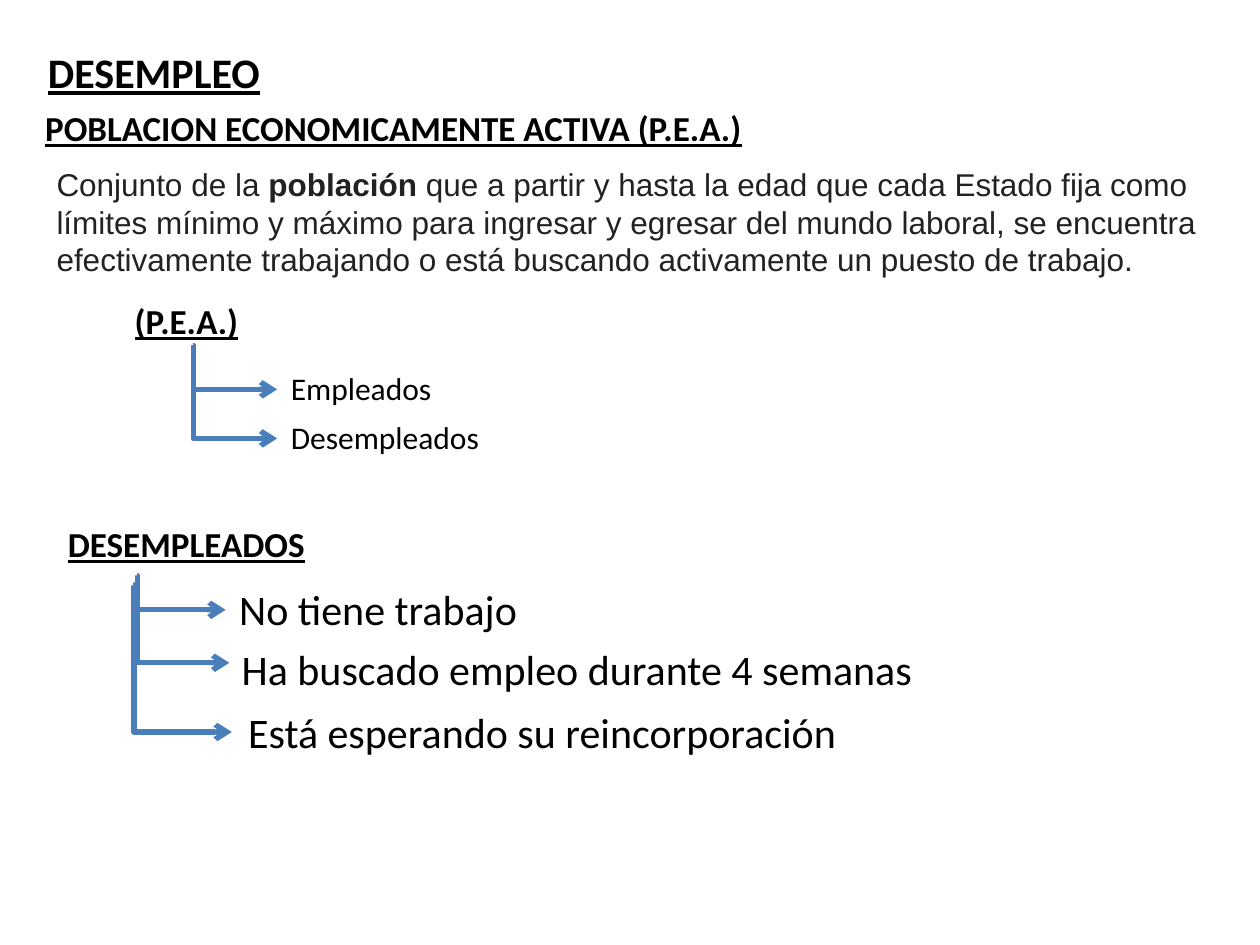
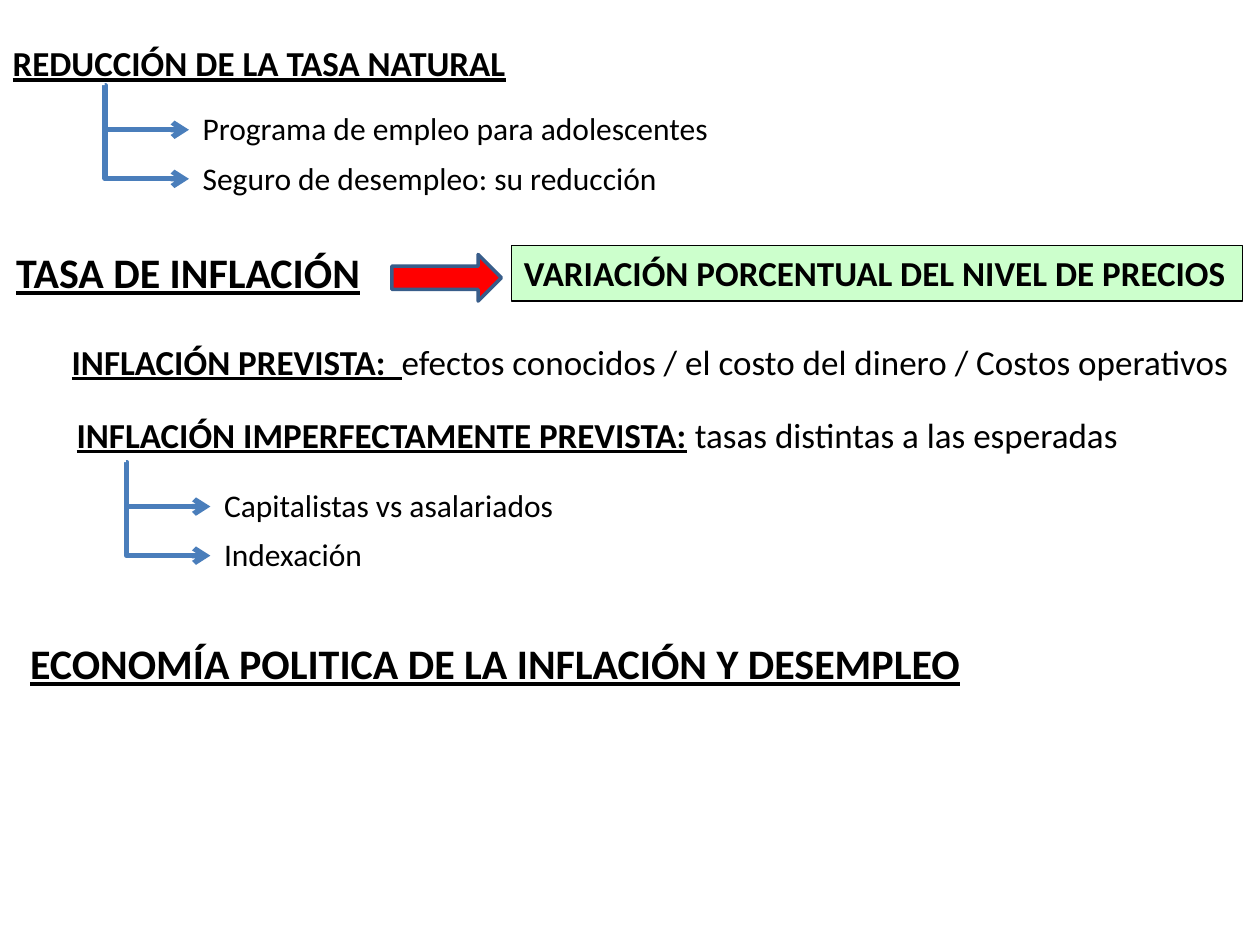
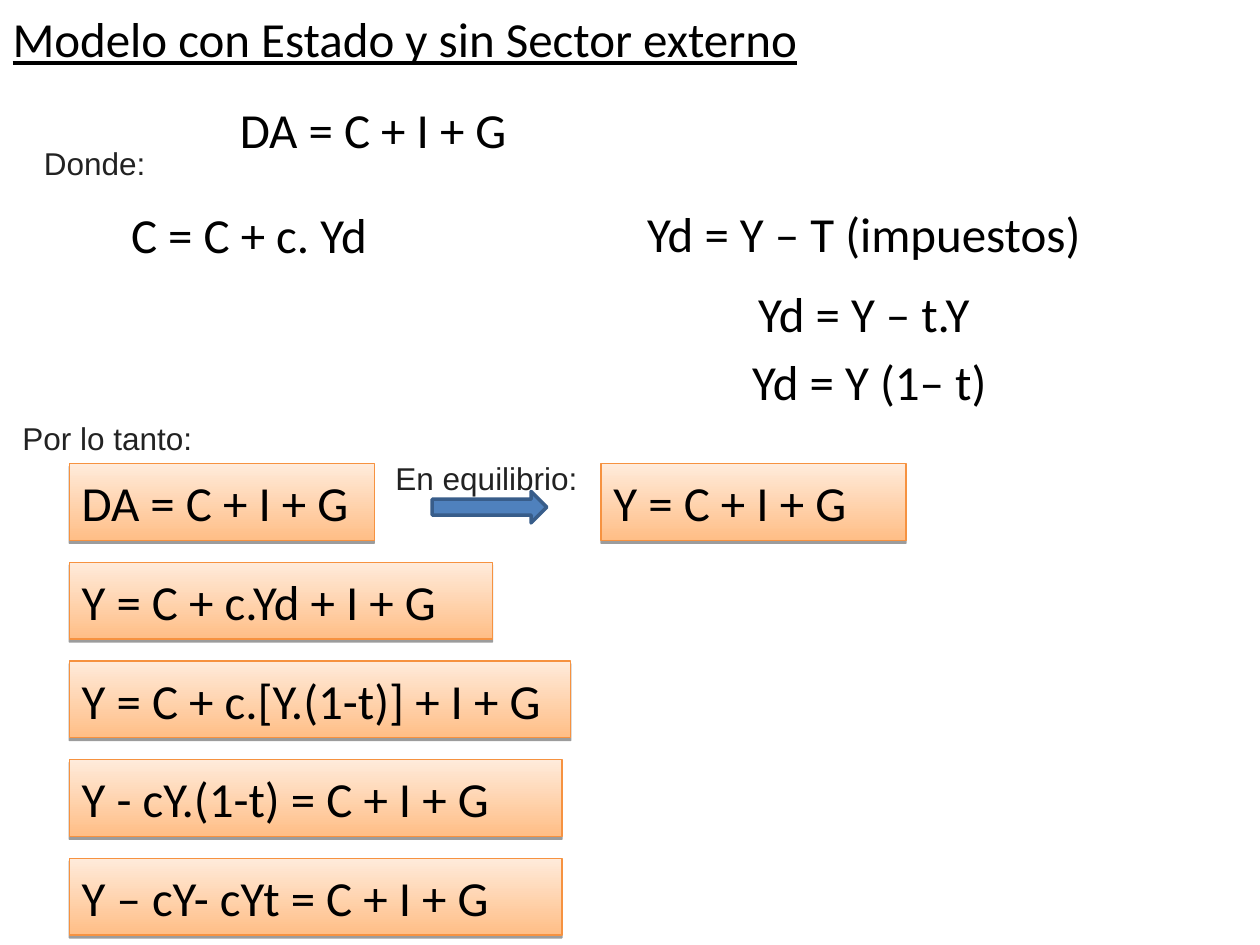
from dataclasses import dataclass, replace

from lxml import etree
from pptx import Presentation
from pptx.dml.color import RGBColor
from pptx.enum import shapes, text
from pptx.oxml.ns import qn
from pptx.util import Inches, Pt


@dataclass(frozen=True)
class Style:
    size: int
    font: str = "Calibri"
    color: str = "000000"
    bold: bool = False
    underline: bool = False


@dataclass(frozen=True)
class Theme:
    major: Style = Style(24, bold=True, underline=True)
    heading: Style = Style(20, bold=True, underline=True)
    banner: Style = Style(20, bold=True)
    detail: Style = Style(20)
    item: Style = Style(18)
    large_item: Style = Style(24)
    equation: Style = Style(28)
    model_title: Style = Style(28, underline=True)
    prose: Style = Style(18, "Arial", "222222")
    branch: str = "4A7EBB"
    arrow_line: str = "385D8A"
    arrow_blue: str = "4F81BD"
    arrow_red: str = "FF0000"
    banner_fill: str = "CCFFCC"
    box_bottom: str = "FFBE86"
    box_top: str = "FFEBDB"
    box_line: str = "F69240"


THEME = Theme()
LEFT, CENTER = text.PP_ALIGN.LEFT, text.PP_ALIGN.CENTER
TOP, MIDDLE = text.MSO_ANCHOR.TOP, text.MSO_ANCHOR.MIDDLE


def rgb(color):
    return RGBColor.from_string(color)


def place(sp, box):
    sp.left, sp.top, sp.width, sp.height = map(Inches, box)


def write(sp, runs, wrap=False, align=LEFT, anchor=TOP, spacing=None):
    tf = sp.text_frame
    tf.word_wrap = wrap
    tf.auto_size = text.MSO_AUTO_SIZE.NONE
    tf.vertical_anchor = anchor
    p = tf.paragraphs[0]
    p.alignment = align
    if spacing:
        p.line_spacing = spacing
    for words, style in runs:
        r = p.add_run()
        r.text = words
        r.font.name = style.font
        r.font.size = Pt(style.size)
        r.font.bold = style.bold
        r.font.underline = style.underline
        r.font.color.rgb = rgb(style.color)


def add_titled_slide(prs, title, box, style, **layout):
    s = prs.slides.add_slide(prs.slide_layouts[5])
    place(s.shapes.title, box)
    write(s.shapes.title, [(title, style)], **layout)
    return s


def add_text(s, box, *runs, **layout):
    sp = s.shapes.add_textbox(*map(Inches, box))
    write(sp, runs, **layout)


def add_block(s, preset, box, line, weight):
    sp = s.shapes.add_shape(preset, *map(Inches, box))
    sp.shadow.inherit = False
    sp.line.color.rgb = rgb(line)
    sp.line.width = Pt(weight)
    return sp


def add_right_arrow(s, box, fill):
    sp = add_block(s, shapes.MSO_SHAPE.RIGHT_ARROW, box, THEME.arrow_line, 2)
    sp.fill.solid()
    sp.fill.fore_color.rgb = rgb(fill)


def add_banner(s, box, words):
    sp = add_block(s, shapes.MSO_SHAPE.RECTANGLE, box, "000000", 0.75)
    sp.fill.solid()
    sp.fill.fore_color.rgb = rgb(THEME.banner_fill)
    write(sp, [(words, THEME.banner)])


def add_equation_box(s, left, top, width, words):
    sp = add_block(s, shapes.MSO_SHAPE.RECTANGLE, (left, top, width, 0.61),
                   THEME.box_line, 0.75)
    sp.fill.gradient()
    sp.fill.gradient_angle = 90
    for stop, color in zip(sp.fill.gradient_stops, (THEME.box_bottom, THEME.box_top)):
        stop.color.rgb = rgb(color)
    effects = sp.element.spPr.find(qn("a:effectLst"))
    shadow = etree.SubElement(effects, qn("a:outerShdw"), blurRad="0", dist="20000",
                              dir="5400000", rotWithShape="0")
    tint = etree.SubElement(shadow, qn("a:srgbClr"), val="000000")
    etree.SubElement(tint, qn("a:alpha"), val="38000")
    write(sp, [(words, THEME.equation)], wrap=True, anchor=MIDDLE)


def add_branch(s, x, y, end_x, end_y):
    cn = s.shapes.add_connector(shapes.MSO_CONNECTOR.ELBOW,
                                *map(Inches, (x, y, end_x, end_y)))
    cn.line.color.rgb = rgb(THEME.branch)
    cn.line.width = Pt(3)
    sp_pr = cn.element.spPr
    etree.SubElement(sp_pr.find(qn("a:ln")), qn("a:tailEnd"), type="arrow")
    etree.SubElement(sp_pr, qn("a:effectLst"))
    guides = sp_pr.find(qn("a:prstGeom")).find(qn("a:avLst"))
    etree.SubElement(guides, qn("a:gd"), name="adj1", fmla="val 600")


def add_pair_tree(s, x, y, items):
    for row, (words, width) in enumerate(items):
        add_branch(s, x, y, x + 0.67, y + 0.35 + 0.39 * row)
        add_text(s, (x + 0.68, y + 0.14 + 0.39 * row, width, 0.4), (words, THEME.item))


def build_unemployment(prs):
    s = add_titled_slide(prs, "DESEMPLEO", (0.28, 0.32, 1.89, 0.5), THEME.major)
    add_text(s, (0.26, 0.8, 5.78, 0.44),
             ("POBLACION ECONOMICAMENTE ACTIVA (P.E.A.)", THEME.heading))
    add_text(s, (0.35, 1.26, 9.65, 1),
             ("Conjunto de la ", THEME.prose),
             ("población ", replace(THEME.prose, bold=True)),
             ("que a partir y hasta la edad que cada Estado fija como límites mínimo y "
              "máximo para ingresar y egresar del mundo laboral, se encuentra "
              "efectivamente trabajando o está buscando activamente un puesto de "
              "trabajo.", THEME.prose), wrap=True)
    add_text(s, (0.97, 2.33, 1.05, 0.44), ("(P.E.A.)", THEME.heading))
    add_pair_tree(s, 1.53, 2.74, [("Empleados", 1.31), ("Desempleados", 1.69)])
    add_text(s, (0.44, 4.1, 2.09, 0.44), ("DESEMPLEADOS", THEME.heading))
    conditions = [
        ("No tiene trabajo", (1.8, 4.58, 2.41, 0.5), (1.07, 4.62, 1.79, 4.84)),
        ("Ha buscado empleo durante 4 semanas", (1.82, 5.06, 5.53, 0.5),
         (1.09, 4.57, 1.82, 5.26)),
        ("Está esperando su reincorporación", (1.87, 5.56, 4.89, 0.5),
         (1.06, 4.65, 1.84, 5.81)),
    ]
    for words, box, ends in conditions:
        add_branch(s, *ends)
        add_text(s, box, (words, THEME.large_item))


def build_inflation(prs):
    s = add_titled_slide(prs, "REDUCCIÓN DE LA TASA NATURAL", (0, 0.28, 4.16, 0.44),
                         THEME.heading)
    add_pair_tree(s, 0.83, 0.68, [("Programa de empleo para adolescentes", 4.23),
                                  ("Seguro de desempleo: su reducción", 3.81)])
    add_text(s, (0.03, 1.91, 2.96, 0.5), ("TASA DE INFLACIÓN", THEME.major))
    add_right_arrow(s, (3.11, 2.02, 0.87, 0.37), THEME.arrow_red)
    add_banner(s, (4.06, 1.95, 5.8, 0.44), "VARIACIÓN PORCENTUAL DEL NIVEL DE PRECIOS")
    add_text(s, (0.47, 2.65, 9.45, 0.44),
             ("INFLACIÓN PREVISTA:  ", THEME.heading),
             ("efectos conocidos / el costo del dinero / Costos operativos", THEME.detail))
    add_text(s, (0.51, 3.23, 8.53, 0.44),
             ("INFLACIÓN IMPERFECTAMENTE PREVISTA:", THEME.heading),
             (" tasas distintas a las esperadas", THEME.detail))
    add_pair_tree(s, 1, 3.67, [("Capitalistas vs asalariados", 2.82),
                               ("Indexación", 1.3)])
    add_text(s, (0.14, 5.01, 7.6, 0.5),
             ("ECONOMÍA POLITICA DE LA INFLACIÓN Y DESEMPLEO", THEME.major))


def build_state_model(prs):
    s = add_titled_slide(prs, "Modelo con Estado y sin Sector externo",
                         (0, 0, 7.89, 0.61), THEME.model_title, wrap=True, anchor=MIDDLE)
    equations = [
        (1.03, 0.71, "DA = C + I + G "),
        (0, 1.55, "C = C + c. Yd"),
        (4.88, 1.54, "Yd = Y – T (impuestos)"),
        (4.88, 2.17, "Yd = Y – t.Y"),
        (4.88, 2.71, " Yd = Y (1– t)"),
    ]
    for left, top, words in equations:
        add_text(s, (left, top, 3.95, 0.62), (words, THEME.equation),
                 wrap=True, align=CENTER, anchor=MIDDLE)
    derivation = [
        (2.42, "DA = C + I + G"),
        (3.36, "Y = C + c.Yd + I + G"),
        (3.98, "Y = C + c.[Y.(1-t)] + I + G"),
        (3.91, "Y - cY.(1-t) = C + I + G"),
        (3.91, "Y – cY- cYt = C + I + G"),
    ]
    for row, (width, words) in enumerate(derivation):
        add_equation_box(s, 0.55, 3.68 + 0.783 * row, width, words)
    add_equation_box(s, 4.77, 3.68, 2.42, "Y = C + I + G")
    add_right_arrow(s, (3.43, 3.9, 0.91, 0.25), THEME.arrow_blue)
    steps = [(0.25, 0.94, 1.1, "Donde:"), (0.08, 3.13, 1.8, "Por lo tanto:"),
             (3.04, 3.44, 1.81, "En equilibrio:")]
    for left, top, width, words in steps:
        add_text(s, (left, top, width, 0.55), (words, THEME.prose),
                 wrap=True, spacing=1.5)


def main():
    prs = Presentation()
    prs.slide_width, prs.slide_height = Inches(10), Inches(7.5)
    build_unemployment(prs)
    build_inflation(prs)
    build_state_model(prs)
    prs.save("out.pptx")


if __name__ == "__main__":
    main()
